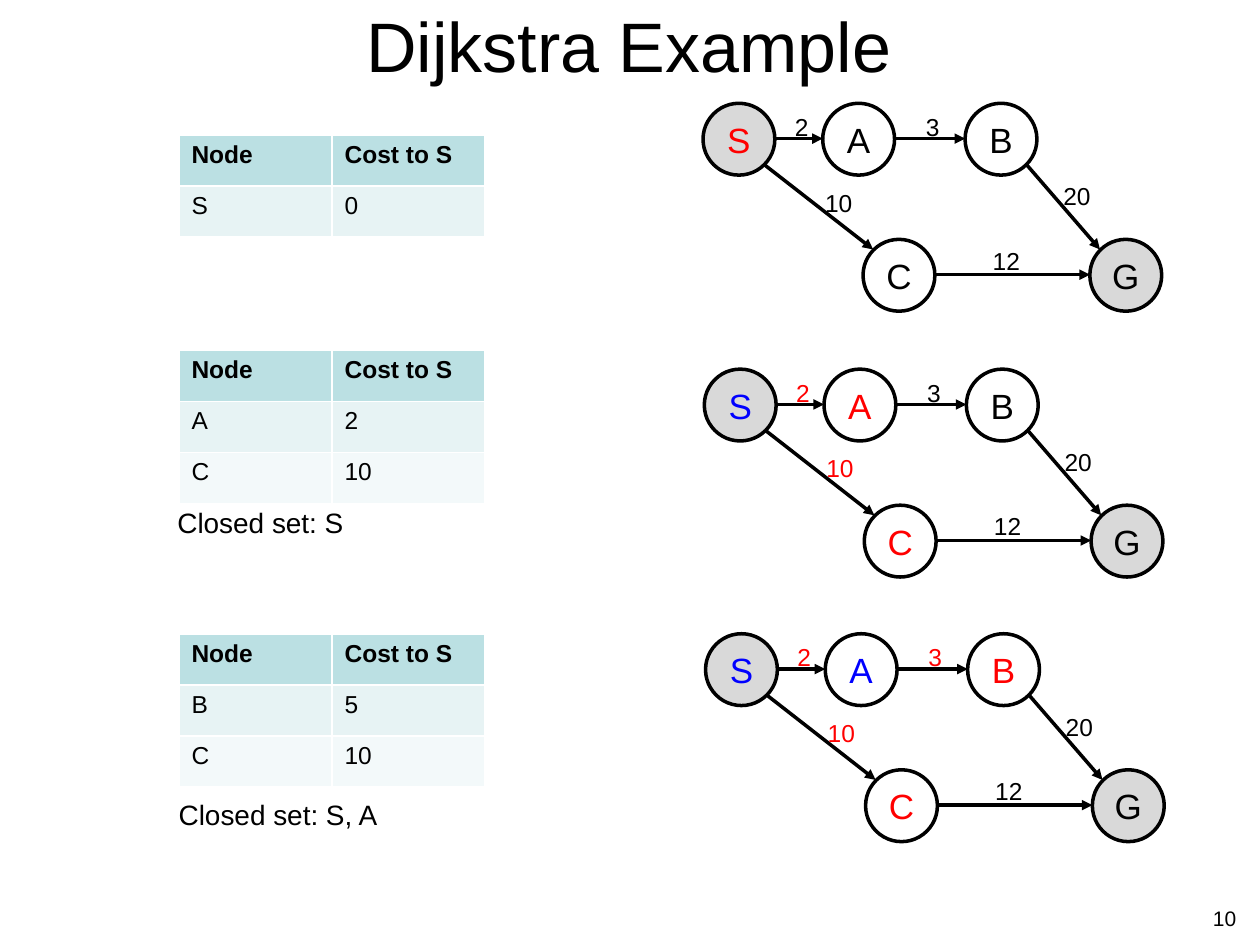
import pptx
import pptx.dml.color
import pptx.enum.shapes
import pptx.enum.text
import pptx.oxml
import pptx.oxml.ns
import pptx.util

Inches = pptx.util.Inches
RGBColor = pptx.dml.color.RGBColor
PP_ALIGN = pptx.enum.text.PP_ALIGN
MSO_ANCHOR = pptx.enum.text.MSO_ANCHOR

BLACK = RGBColor(0x00, 0x00, 0x00)
RED = RGBColor(0xFF, 0x00, 0x00)
BLUE = RGBColor(0x00, 0x00, 0xFF)
GRAY = RGBColor(0xD9, 0xD9, 0xD9)
HEADER = RGBColor(0xBB, 0xE0, 0xE3)
BAND_DARK = RGBColor(0xE7, 0xF3, 0xF4)
BAND_LIGHT = RGBColor(0xF3, 0xF9, 0xFA)


def write(frame, text, size=14, color=BLACK, bold=False, align=PP_ALIGN.LEFT,
          anchor=MSO_ANCHOR.TOP, wrap=False):
    frame.word_wrap = wrap
    frame.vertical_anchor = anchor
    paragraph = frame.paragraphs[0]
    paragraph.text = text
    paragraph.alignment = align
    paragraph.font.name = "Arial"
    paragraph.font.size = pptx.util.Pt(size)
    paragraph.font.bold = bold
    paragraph.font.color.rgb = color


def add_text(left, top, width, height, text, **style):
    box = slide.shapes.add_textbox(Inches(left), Inches(top), Inches(width), Inches(height))
    write(box.text_frame, text, **style)


deck = pptx.Presentation()
deck.slide_width = Inches(10)
deck.slide_height = Inches(7.5)
slide = deck.slides.add_slide(deck.slide_layouts[6])

# Title
add_text(0.49, -0.12, 9, 0.95, "Dijkstra Example", size=40,
         align=PP_ALIGN.CENTER, anchor=MSO_ANCHOR.MIDDLE, wrap=True)

# Graph layout, relative to the top left corner of node S
NODE_SIZE = 0.57
NODES = {"S": (0, 0), "A": (0.95, 0), "B": (2.08, 0), "C": (1.27, 1.08), "G": (3.07, 1.08)}
EDGES = [(0.57, 0.28, 0.95, 0.28), (1.51, 0.28, 2.08, 0.28), (0.49, 0.49, 1.35, 1.16),
         (2.57, 0.49, 3.15, 1.16), (1.83, 1.36, 3.07, 1.36)]
COSTS = {"2": (0.63, 0.02, 0.31), "3": (1.67, 0.02, 0.31), "10": (0.87, 0.62, 0.42),
         "12": (2.2, 1.08, 0.42), "20": (2.76, 0.57, 0.42)}

# Each step: graph origin, coloured nodes and costs, table top, table rows
STEPS = [
    (5.58, 0.82, {"S": RED}, 1.07, [("S", "0")]),
    (5.59, 2.93, {"S": BLUE, "A": RED, "C": RED, "2": RED, "10": RED},
     2.78, [("A", "2"), ("C", "10")]),
    (5.6, 5.03, {"S": BLUE, "A": BLUE, "B": RED, "C": RED, "2": RED, "3": RED, "10": RED},
     5.03, [("B", "5"), ("C", "10")]),
]

for x, y, colors, table_top, costs_to_s in STEPS:
    # Nodes
    for name, (dx, dy) in NODES.items():
        node = slide.shapes.add_shape(pptx.enum.shapes.MSO_SHAPE.OVAL, Inches(x + dx),
                                      Inches(y + dy), Inches(NODE_SIZE), Inches(NODE_SIZE))
        node.shadow.inherit = False
        if name in "SG":
            node.fill.solid()
            node.fill.fore_color.rgb = GRAY
        else:
            node.fill.background()
        node.line.color.rgb = BLACK
        node.line.width = pptx.util.Pt(2)
        write(node.text_frame, name, size=20, color=colors.get(name, BLACK),
              align=PP_ALIGN.CENTER, anchor=MSO_ANCHOR.MIDDLE)

    # Directed edges
    for x1, y1, x2, y2 in EDGES:
        edge = slide.shapes.add_connector(
            pptx.enum.shapes.MSO_CONNECTOR.STRAIGHT,
            Inches(x + x1), Inches(y + y1), Inches(x + x2), Inches(y + y2))
        edge.line.color.rgb = BLACK
        edge.line.width = pptx.util.Pt(2)
        arrowhead = pptx.oxml.parse_xml(
            f'<a:tailEnd {pptx.oxml.ns.nsdecls("a")} type="triangle"/>')
        edge.line._get_or_add_ln().append(arrowhead)
        edge._element.spPr.append(
            pptx.oxml.parse_xml(f'<a:effectLst {pptx.oxml.ns.nsdecls("a")}/>'))

    # Edge costs
    for cost, (dx, dy, width) in COSTS.items():
        add_text(x + dx, y + dy, width, 0.34, cost, color=colors.get(cost, BLACK))

    # Open set table
    rows = [("Node", "Cost to S")] + costs_to_s
    open_set = slide.shapes.add_table(len(rows), 2, Inches(1.42), Inches(table_top),
                                      Inches(2.43), Inches(0.81 / 2 * len(rows))).table
    for r, (row, fill) in enumerate(zip(rows, [HEADER, BAND_DARK, BAND_LIGHT])):
        for c, text in enumerate(row):
            cell = open_set.cell(r, c)
            cell.fill.solid()
            cell.fill.fore_color.rgb = fill
            write(cell.text_frame, text, bold=r == 0, wrap=True)

# Closed sets
add_text(1.31, 3.96, 1.54, 0.37, "Closed set: S", size=16)
add_text(1.32, 6.28, 1.8, 0.37, "Closed set: S, A", size=16)

# Slide number
add_text(7.58, 7.14, 2.33, 0.27, "10", size=12, align=PP_ALIGN.RIGHT, wrap=True)

deck.save("out.pptx")
